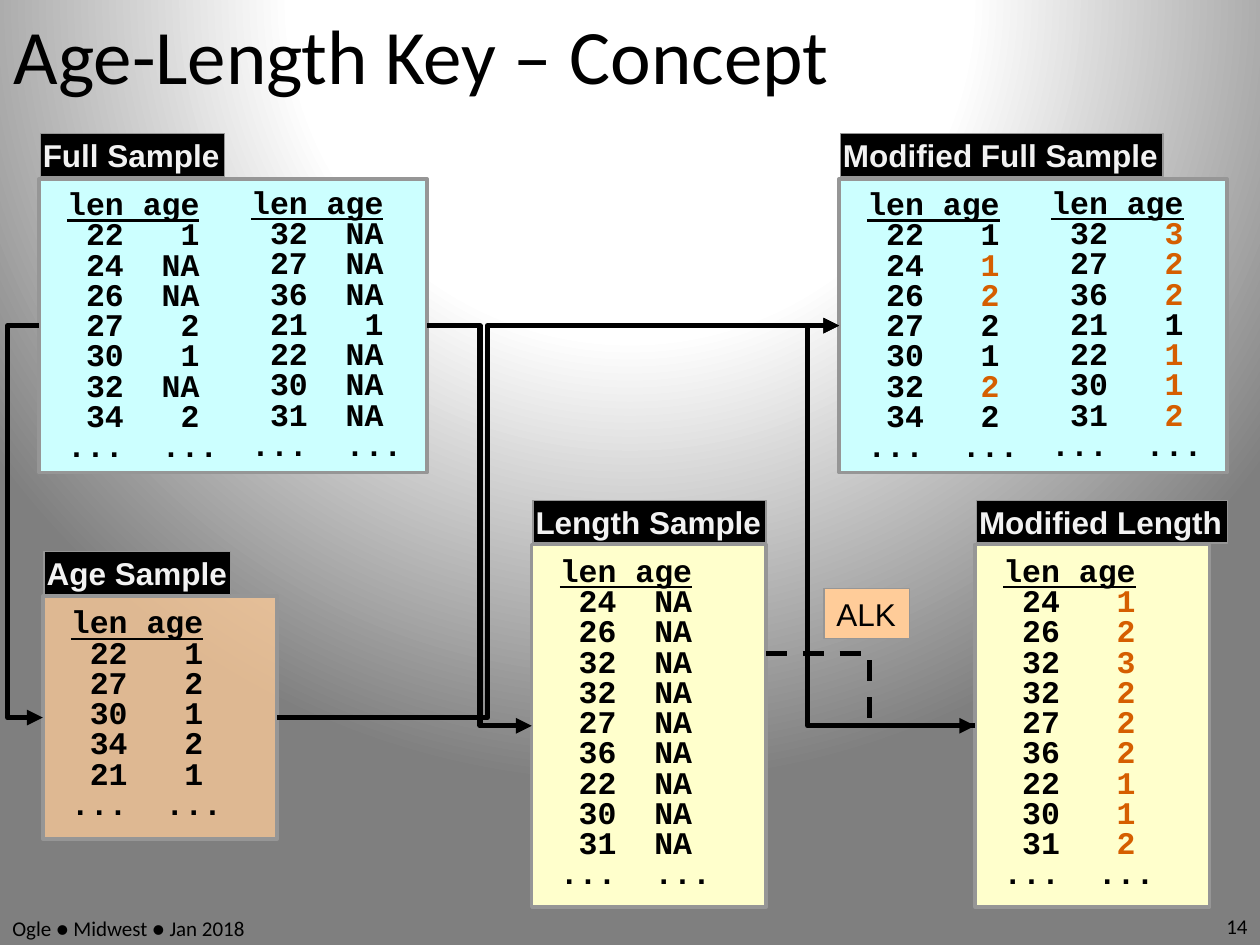
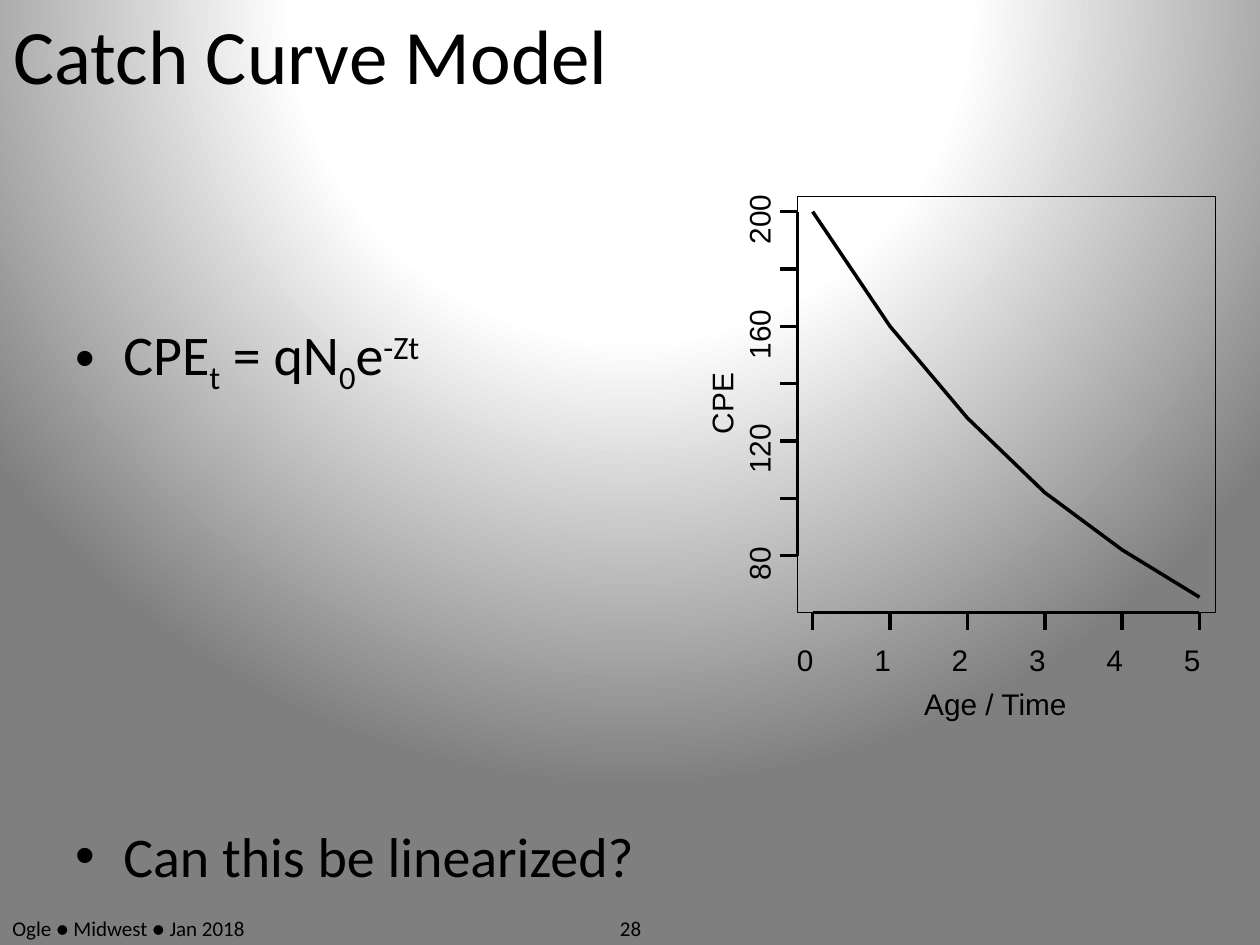
"""Builds the age-length key and catch curve slides."""
from lxml import etree
from pptx import Presentation
from pptx.dml.color import RGBColor
from pptx.enum.dml import MSO_LINE_DASH_STYLE as Dash
from pptx.enum.shapes import MSO_CONNECTOR as Connector, MSO_SHAPE as Shape
from pptx.enum.text import MSO_ANCHOR as Anchor, MSO_AUTO_SIZE as AutoSize, PP_ALIGN as Align
from pptx.oxml import parse_xml
from pptx.oxml.ns import nsdecls, qn
from pptx.util import Inches, Pt

WIDTH, HEIGHT = 10, 7.5
BLACK, GREY, LABEL_TEXT = "000000", "969696", "F2F2F2"
CYAN, YELLOW, ORANGE, FILLED_AGE = "CCFFFF", "FFFFCC", "FFCC99", "D55E00"
GRADIENT = ((40, "FEFEFE"), (43, "FFFFFF"), (100, "7F7F7F"))
FOOTER = "Ogle ● Midwest ● Jan 2018"

FULL_SAMPLE = [
    (22, "1"), (24, "NA"), (26, "NA"), (27, "2"), (30, "1"), (32, "NA"), (34, "2"),
    (32, "NA"), (27, "NA"), (36, "NA"), (21, "1"), (22, "NA"), (30, "NA"), (31, "NA"),
]
AGE_SAMPLE = [row for row in FULL_SAMPLE if row[1] != "NA"]
LENGTH_SAMPLE = [row for row in FULL_SAMPLE if row[1] == "NA"]
FULL_AGES, LENGTH_AGES = "122322112", "123222112"

PANELS = {
    "Full Sample": dict(box=(0.31, 1.42, 3.08, 2.33), label=1.46, color=CYAN,
                        rows=FULL_SAMPLE, columns=2),
    "Age Sample": dict(box=(0.34, 4.73, 1.86, 1.93), label=1.48, color=ORANGE,
                       rows=AGE_SAMPLE, alpha=75),
    "Length Sample": dict(box=(4.22, 4.32, 1.86, 2.88), label=1.85, color=YELLOW,
                          rows=LENGTH_SAMPLE),
    "Modified Full Sample": dict(box=(6.66, 1.42, 3.08, 2.33), label=2.56, color=CYAN,
                                 rows=FULL_SAMPLE, columns=2, ages=FULL_AGES),
    "Modified Length": dict(box=(7.74, 4.32, 1.86, 2.88), label=1.99, color=YELLOW,
                            rows=LENGTH_SAMPLE, ages=LENGTH_AGES),
}
FLOWS = [
    dict(source=("Full Sample", 1, 0.5), target="Length Sample", bend=3.81),
    dict(source=("Modified Length", 0, 0.5), target="Modified Full Sample", bend=6.41),
    dict(source=("Age Sample", 1, 0.5), target="Modified Full Sample", bend=3.87),
    dict(source=("Length Sample", 1, 0.3), target="Modified Length", bend=6.9, dash=Dash.DASH),
    dict(source=("Full Sample", 0, 0.5), target="Age Sample", bend=0.06),
]

CATCH = [(0, 200), (1, 160), (2, 128), (3, 102), (4, 82), (5, 65.5)]
CATCH_TICKS, CATCH_LABELS = range(80, 201, 20), range(80, 201, 40)
PLOT_BOX = (6.33, 1.56, 3.32, 3.3)
FIRST_AGE, LAST_AGE = 6.45, 9.52
TOP_CATCH, LOW_CATCH = 1.68, 4.41
TICK = 0.14
MODEL = [("CPE", 0), ("t", -25), (" = qN", 0), ("0", -25), ("e", 0), ("-Zt", 30)]
QUESTION = [("Can this be linearized?", 0)]


def rgb(color):
    return RGBColor.from_string(color)


def inches(box):
    return [Inches(length) for length in box]


def add_run(paragraph, text, size, font="Calibri", color=BLACK, bold=False, underline=False):
    run = paragraph.add_run()
    run.text = text
    run.font.size, run.font.name = Pt(size), font
    run.font.color.rgb = rgb(color)
    run.font.bold, run.font.underline = bold, underline
    return run


def add_text_box(slide, box, anchor=Anchor.TOP):
    frame = slide.shapes.add_textbox(*inches(box)).text_frame
    frame.word_wrap = True
    frame.vertical_anchor = anchor
    return frame


def add_line_text(slide, box, text, size, align=Align.LEFT):
    paragraph = add_text_box(slide, box, Anchor.MIDDLE).paragraphs[0]
    paragraph.alignment = align
    add_run(paragraph, text, size)


def set_line(line, color, width):
    line.color.rgb = rgb(color)
    line.width = Pt(width)


def add_box(slide, box, color, line_width, alpha=None):
    shape = slide.shapes.add_shape(Shape.RECTANGLE, *inches(box))
    shape.shadow.inherit = False
    shape.fill.solid()
    shape.fill.fore_color.rgb = rgb(color)
    set_line(shape.line, GREY, line_width)
    if alpha:
        fill_color = shape.element.spPr.find(qn("a:solidFill"))[0]
        etree.SubElement(fill_color, qn("a:alpha"), val=str(alpha * 1000))
    return shape


def add_label(slide, box, text, color, text_color, bold, margins):
    frame = add_box(slide, box, color, 0.75).text_frame
    frame.word_wrap = False
    frame.vertical_anchor = Anchor.TOP
    frame.margin_left = frame.margin_right = Inches(margins[0])
    frame.margin_top = frame.margin_bottom = Inches(margins[1])
    frame.paragraphs[0].alignment = Align.LEFT
    add_run(frame.paragraphs[0], text, 18, "Arial", text_color, bold)


def add_fish_column(slide, box, rows, ages):
    """Lists lengths and ages, taking each missing age from the iterator."""
    frame = add_text_box(slide, box)
    lines = [[("len age", BLACK)]]
    for length, age in rows:
        filled = next(ages, None) if age == "NA" else None
        if filled:
            lines.append([(f" {length}   ", BLACK), (filled, FILLED_AGE)])
        else:
            lines.append([(f" {length}{age:>4}", BLACK)])
    lines.append([("...  ...", BLACK)])
    for index, line in enumerate(lines):
        paragraph = frame.add_paragraph() if index else frame.paragraphs[0]
        paragraph.line_spacing = 0.8
        for text, color in line:
            add_run(paragraph, text, 18, "Courier New", color, True, index == 0)


def add_panel(slide, name, box, label, color, rows, columns=1, ages="", alpha=None):
    left, top, _, height = box
    add_box(slide, box, color, 2, alpha)
    gap = 0.06 if columns == 1 else 0.05
    per_column = len(rows) // columns
    remaining_ages = iter(ages)
    for column in range(columns):
        part = rows[column * per_column:(column + 1) * per_column]
        column_box = (left + 0.125 + 1.46 * column, top + gap - 0.01 * column, 1.5, height - 0.1)
        add_fish_column(slide, column_box, part, remaining_ages)
    add_label(slide, (left + 0.01, top + gap - 0.41, label, 0.34), name, BLACK, LABEL_TEXT,
              True, (0.02, 0.02))


def panel_point(name, across, down):
    left, top, width, height = PANELS[name]["box"]
    return left + width * across, top + height * down


def add_flow(slide, source, target, bend, dash=None):
    start, end = panel_point(*source), panel_point(target, 0, 0.5)
    connector = slide.shapes.add_connector(Connector.ELBOW, *inches(start + end))
    set_line(connector.line, BLACK, 3)
    if dash:
        connector.line.dash_style = dash
    properties = connector.element.spPr
    guides = properties.find(qn("a:prstGeom")).find(qn("a:avLst"))
    share = (bend - start[0]) / (end[0] - start[0])
    etree.SubElement(guides, qn("a:gd"), name="adj1", fmla=f"val {round(share * 100000)}")
    etree.SubElement(properties.find(qn("a:ln")), qn("a:tailEnd"), type="triangle")
    etree.SubElement(properties, qn("a:effectLst"))


def age_x(age):
    return FIRST_AGE + (LAST_AGE - FIRST_AGE) * age / 5


def catch_y(catch):
    return TOP_CATCH + (LOW_CATCH - TOP_CATCH) * (200 - catch) / 120


def add_thin_line(slide, *ends):
    connector = slide.shapes.add_connector(Connector.STRAIGHT, *inches(ends))
    set_line(connector.line, BLACK, 0)
    etree.SubElement(connector.element.spPr, qn("a:effectLst"))


def add_plot_text(slide, text, center_x, center_y, width, height=0.34, rotation=0):
    box = (center_x - width / 2, center_y - height / 2, width, height)
    shape = slide.shapes.add_textbox(*inches(box))
    shape.rotation = rotation
    frame = shape.text_frame
    frame.word_wrap = False
    frame.auto_size = AutoSize.SHAPE_TO_FIT_TEXT
    frame.margin_left = frame.margin_right = frame.margin_top = frame.margin_bottom = 0
    add_run(frame.paragraphs[0], text, 17, "Arial")


def add_catch_plot(slide):
    left, top, width, height = PLOT_BOX
    bottom = top + height
    points = [(Inches(age_x(age)), Inches(catch_y(catch))) for age, catch in CATCH]
    builder = slide.shapes.build_freeform(*points[0])
    builder.add_line_segments(points[1:], close=False)
    curve = builder.convert_to_shape()
    curve.shadow.inherit = False
    curve.fill.background()
    set_line(curve.line, BLACK, 2)

    add_thin_line(slide, FIRST_AGE, bottom, LAST_AGE, bottom)
    for age, _ in CATCH:
        add_thin_line(slide, age_x(age), bottom, age_x(age), bottom + TICK)
        add_plot_text(slide, str(age), age_x(age), 5.26, 0.25)
    add_thin_line(slide, left, LOW_CATCH, left, TOP_CATCH)
    for catch in CATCH_TICKS:
        add_thin_line(slide, left, catch_y(catch), left - TICK, catch_y(catch))
    for catch in CATCH_LABELS:
        text = str(catch)
        add_plot_text(slide, text, 6.05, catch_y(catch), 0.13 * (len(text) + 1), rotation=270)

    frame = slide.shapes.add_shape(Shape.RECTANGLE, *inches(PLOT_BOX))
    frame.shadow.inherit = False
    frame.fill.background()
    set_line(frame.line, BLACK, 0)
    add_plot_text(slide, "Age / Time", 7.98, 5.61, 1.29)
    add_plot_text(slide, "CPE", 5.73, 3.2, 0.49, 0.29, 270)


def add_bullet(paragraph, runs):
    properties = paragraph._p.get_or_add_pPr()
    properties.set("marL", str(Inches(0.38)))
    properties.set("indent", str(-Inches(0.38)))
    etree.SubElement(properties, qn("a:buFont"), typeface="Arial")
    etree.SubElement(properties, qn("a:buChar"), char="•")
    for text, baseline in runs:
        run = add_run(paragraph, text, 32)
        if baseline:
            run.font._element.set("baseline", str(baseline * 1000))


def set_background(master):
    common = master.element.find(qn("p:cSld"))
    for background in common.findall(qn("p:bg")):
        common.remove(background)
    stops = "".join(f'<a:gs pos="{place * 1000}"><a:srgbClr val="{color}"/></a:gs>'
                    for place, color in GRADIENT)
    common.insert(0, parse_xml(
        f'<p:bg {nsdecls("p", "a")}><p:bgPr><a:gradFill rotWithShape="1"><a:gsLst>{stops}'
        '</a:gsLst><a:path path="circle"><a:fillToRect l="50000" t="-80000" r="50000" '
        'b="180000"/></a:path></a:gradFill><a:effectLst/></p:bgPr></p:bg>'))


def add_slide(presentation, title, number, number_box, number_align):
    slide = presentation.slides.add_slide(presentation.slide_layouts[6])
    add_line_text(slide, (0.01, 0.01, 9, 0.84), title, 44)
    add_line_text(slide, (0, HEIGHT - 0.27, 2.33, 0.27), FOOTER, 12)
    add_line_text(slide, number_box, number, 12, number_align)
    return slide


def main():
    presentation = Presentation()
    presentation.slide_width, presentation.slide_height = Inches(WIDTH), Inches(HEIGHT)
    set_background(presentation.slide_master)

    slide = add_slide(presentation, "Age-Length Key – Concept", "14",
                      (WIDTH - 2.33, HEIGHT - 0.3, 2.33, 0.3), Align.RIGHT)
    for name, panel in PANELS.items():
        add_panel(slide, name, **panel)
    for flow in FLOWS:
        add_flow(slide, **flow)
    add_label(slide, (6.54, 4.67, 0.68, 0.4), "ALK", ORANGE, BLACK, False, (0.1, 0.05))

    slide = add_slide(presentation, "Catch Curve Model", "28",
                      (3.42, HEIGHT - 0.27, 3.17, 0.27), Align.CENTER)
    frame = add_text_box(slide, (0.5, 2.49, 9.42, 4.55))
    add_bullet(frame.paragraphs[0], MODEL)
    question = frame.add_paragraph()
    question.space_before = Pt(243)
    add_bullet(question, QUESTION)
    add_catch_plot(slide)

    presentation.save("out.pptx")


if __name__ == "__main__":
    main()
